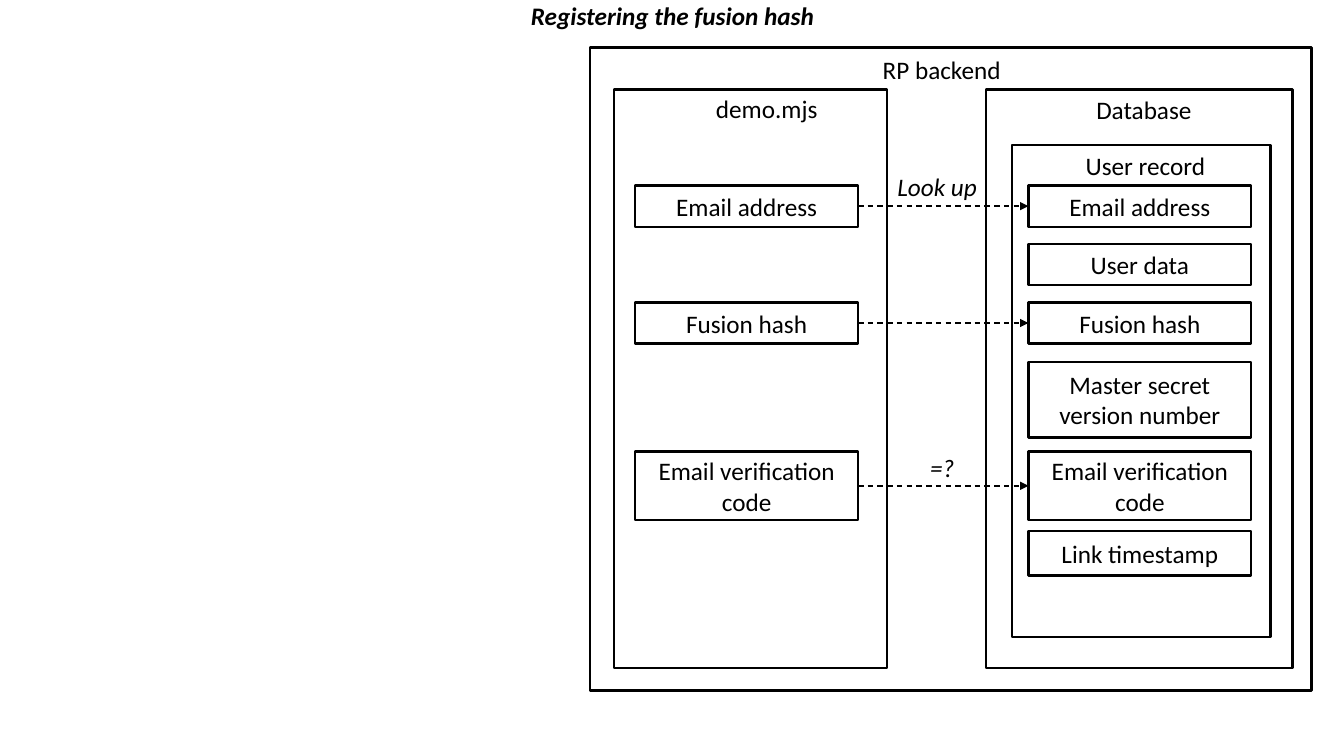
from dataclasses import dataclass

from lxml import etree
from pptx import Presentation
from pptx.dml.color import RGBColor
from pptx.enum.dml import MSO_LINE
from pptx.enum.shapes import MSO_CONNECTOR, MSO_SHAPE
from pptx.enum.text import MSO_ANCHOR, MSO_AUTO_SIZE, PP_ALIGN
from pptx.oxml.ns import qn
from pptx.util import Inches, Pt

RECT = MSO_SHAPE.RECTANGLE
STRAIGHT = MSO_CONNECTOR.STRAIGHT
DASH = MSO_LINE.DASH
CENTER = PP_ALIGN.CENTER
TOP, MIDDLE = MSO_ANCHOR.TOP, MSO_ANCHOR.MIDDLE
NO_FIT = MSO_AUTO_SIZE.NONE
LEFT_SIDE, RIGHT_SIDE = 1, 3


@dataclass(frozen=True)
class Theme:
    """Colours, type and line widths of the slide."""
    ink: RGBColor = RGBColor(0, 0, 0)
    font: str = "Calibri"
    size: float = 18
    frame: float = 1.75
    arrow: float = 1


THEME = Theme()
FIELD_W, FIELD_H = 2.21, 0.41
LABEL_H = 0.4
SESSION_FIELDS = [
    ("Email address", 0.95, FIELD_H),
    ("Fusion hash", 2.11, FIELD_H),
    ("Email verification code", 3.59, 0.68),
]
RECORD_FIELDS = [
    ("Email address", 0.4, FIELD_H),
    ("User data", 0.98, FIELD_H),
    ("Fusion hash", 1.56, FIELD_H),
    ("Master secret version number", 2.15, 0.75),
    ("Email verification code", 3.04, 0.68),
    ("Link timestamp", 3.83, 0.44),
]


def write(tf, text, anchor=TOP, bold=False, italic=False):
    """Write one centred paragraph into a text frame."""
    tf.word_wrap = True
    tf.auto_size = NO_FIT
    tf.vertical_anchor = anchor
    p = tf.paragraphs[0]
    p.alignment = CENTER
    r = p.add_run()
    r.text = text
    r.font.name = THEME.font
    r.font.size = Pt(THEME.size)
    r.font.color.rgb = THEME.ink
    r.font.bold = bold
    r.font.italic = italic
    return p


def add_label(s, text, x, y, w, italic=False):
    """Add a one-line caption."""
    tb = s.shapes.add_textbox(Inches(x), Inches(y), Inches(w), Inches(LABEL_H))
    write(tb.text_frame, text, italic=italic)


def add_frame(s, x, y, w, h):
    """Add an unfilled outlined rectangle."""
    sp = s.shapes.add_shape(RECT, Inches(x), Inches(y), Inches(w), Inches(h))
    sp.shadow.inherit = False
    sp.fill.background()
    sp.line.color.rgb = THEME.ink
    sp.line.width = Pt(THEME.frame)
    return sp


def add_fields(s, fields, x, y):
    """Stack named field boxes below a point and return them by name."""
    boxes = {}
    for text, dy, h in fields:
        sp = add_frame(s, x, y + dy, FIELD_W, h)
        tf = sp.text_frame
        tf.margin_top = tf.margin_bottom = 0
        write(tf, text, MIDDLE)
        boxes[text] = sp
    return boxes


def add_title(s, x, y, w, h):
    """Move and fill the title placeholder."""
    title = s.shapes.title
    title.left, title.top = Inches(x), Inches(y)
    title.width, title.height = Inches(w), Inches(h)
    p = write(title.text_frame, "Registering the fusion hash", MIDDLE, True, True)
    p.line_spacing = 0.9


def add_script(s, x, y, w, h):
    """Draw the script column and return its fields."""
    add_frame(s, x, y, w, h)
    add_label(s, "demo.mjs", x + 0.33, y - 0.01, w - 0.34)
    return add_fields(s, SESSION_FIELDS, x + 0.21, y)


def add_database(s, x, y, w, h):
    """Draw the database column with its user record and return the fields."""
    add_frame(s, x, y, w, h)
    add_label(s, "Database", x + 0.09, y, w - 0.09)
    rx, ry, rw = x + 0.26, y + 0.55, w - 0.48
    add_frame(s, rx, ry, rw, h - 0.86)
    add_label(s, "User record", rx + 0.08, ry, rw - 0.08)
    return add_fields(s, RECORD_FIELDS, rx + 0.16, ry)


def add_arrow(s, source, target):
    """Join two fields with a dashed arrow."""
    cn = s.shapes.add_connector(STRAIGHT, 0, 0, 0, 0)
    cn.begin_connect(source, RIGHT_SIDE)
    cn.end_connect(target, LEFT_SIDE)
    cn.line.color.rgb = THEME.ink
    cn.line.width = Pt(THEME.arrow)
    cn.line.dash_style = DASH
    ln = cn.line._get_or_add_ln()
    etree.SubElement(ln, qn("a:tailEnd"), type="triangle")
    etree.SubElement(cn._element.spPr, qn("a:effectLst"))


def add_backend(s, x, y, w, h):
    """Draw the backend with both columns and the links between them."""
    add_frame(s, x, y, w, h)
    add_label(s, "RP backend", x + 0.42, y + 0.02, w - 1.02)
    script = add_script(s, x + 0.24, y + 0.42, 2.71, h - 0.64)
    record = add_database(s, x + 3.93, y + 0.42, 3.04, h - 0.64)
    for name, source in script.items():
        add_arrow(s, source, record[name])
    add_label(s, "Look up", x + 2.26, y + 1.18, 2.37, italic=True)
    add_label(s, "=?", x + 2.31, y + 3.97, 2.37, italic=True)


def main():
    """Build and save the slide."""
    prs = Presentation()
    prs.slide_width, prs.slide_height = Inches(13.33), Inches(7.5)
    s = prs.slides.add_slide(prs.slide_layouts[5])
    add_title(s, 0.92, -0.09, 11.5, 0.53)
    add_backend(s, 5.85, 0.47, 7.16, 6.38)
    prs.save("out.pptx")


if __name__ == "__main__":
    main()
